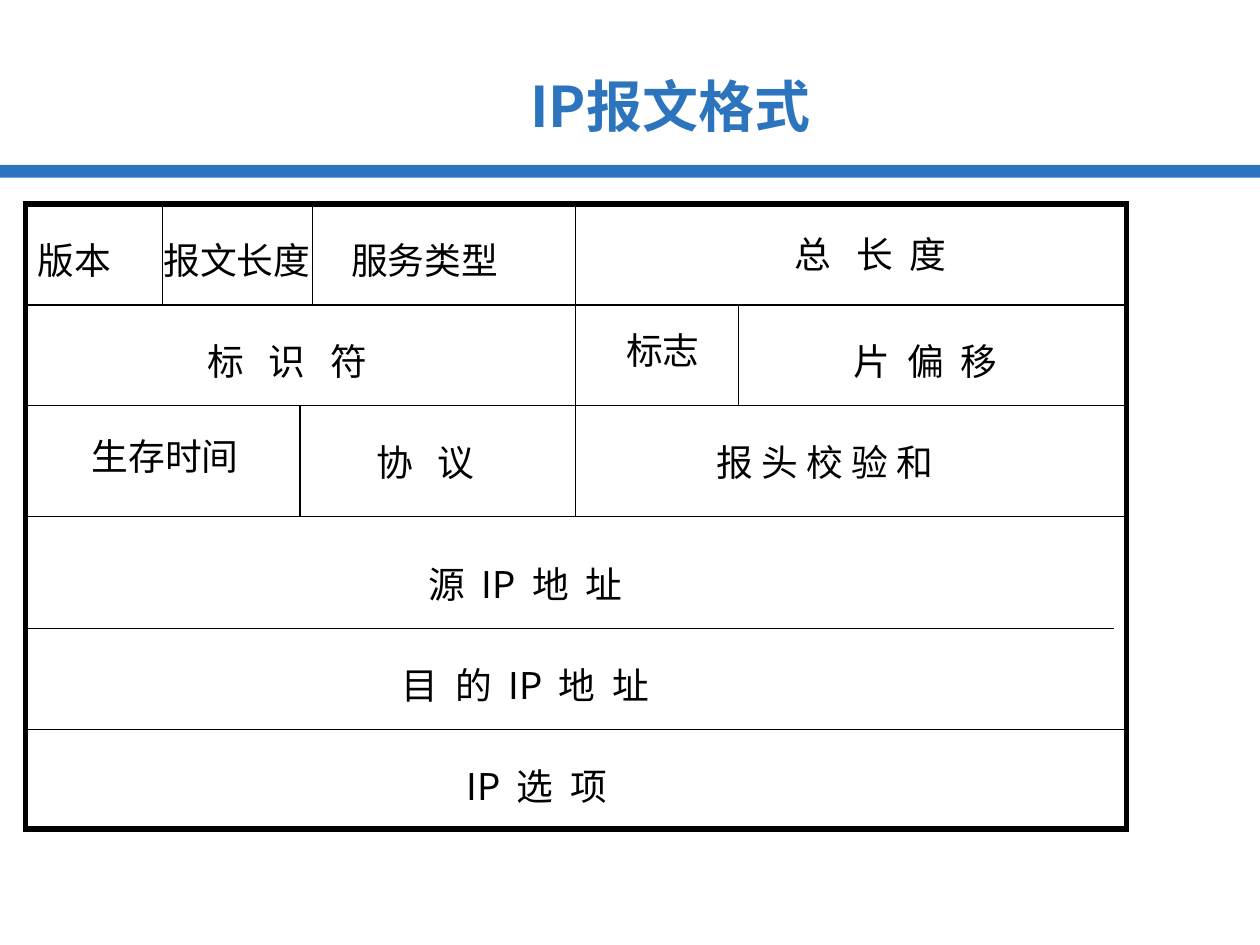
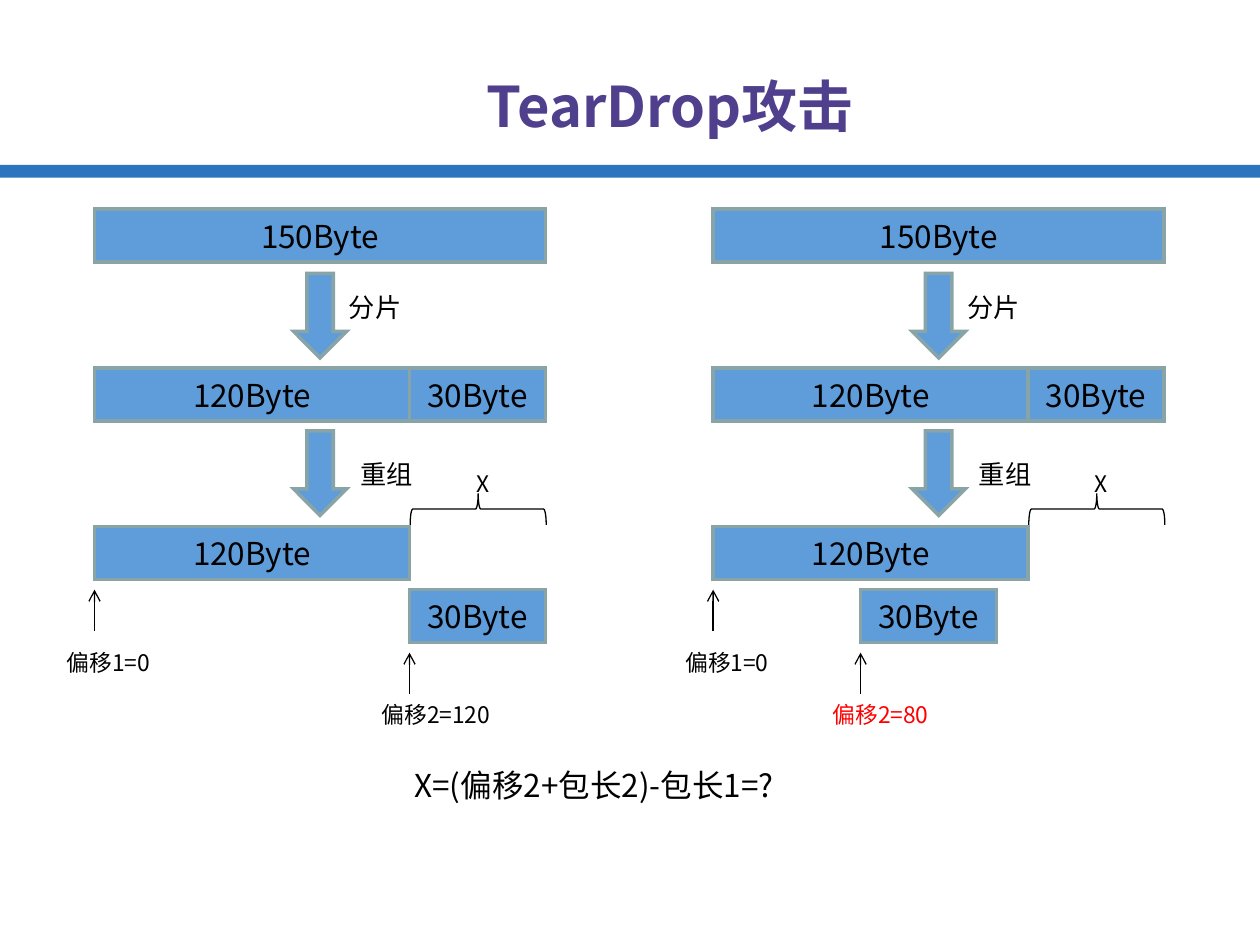
from lxml import etree
from pptx import Presentation
from pptx.dml.color import RGBColor
from pptx.enum.shapes import MSO_CONNECTOR, MSO_SHAPE
from pptx.enum.text import MSO_ANCHOR, PP_ALIGN
from pptx.oxml.ns import qn
from pptx.util import Inches, Pt

RECT, DOWN_ARROW, BRACE = MSO_SHAPE.RECTANGLE, MSO_SHAPE.DOWN_ARROW, MSO_SHAPE.RIGHT_BRACE
STRAIGHT = MSO_CONNECTOR.STRAIGHT
LEFT, CENTER = PP_ALIGN.LEFT, PP_ALIGN.CENTER
TOP, MIDDLE = MSO_ANCHOR.TOP, MSO_ANCHOR.MIDDLE
FRAME_TOP, FRAME_LEFT, FRAME_RIGHT = 0, 1, 3

FONT = "Noto Sans CJK SC"
COLORS = {"band": "2C75BE", "violet": "503F8D", "block": "5E9CDA",
          "edge": "89A4A7", "ink": "000000", "alert": "FF0000"}

# Header diagram
HEADER_TITLE = "IP报文格式"
HEADER = (0.2, 1.62, 8.74, 4.96)
MIDLINE_X, MIDLINE_Y = 4.57, 4.1
ROW_LINES = [(2.42, 8.94), (3.22, 8.94), (5.79, 8.94), (4.99, 8.84)]  # y, right end
COLUMN_LINES = [(1.29, 1.62, 2.42), (2.48, 1.62, 2.42),
                (5.86, 2.42, 3.22), (2.38, 3.22, 4.1)]  # x, top, bottom
FIELD_HEIGHT = 0.47
WIDE, WIDER = 4.7, 9.4  # points added to a space
FIELDS = [  # text, left, top, width, points added to each space in turn
    ("版本", 0.18, 1.83, 0.82, ()),
    ("报文长度", 1.18, 1.83, 1.4, ()),
    ("服务类型", 2.67, 1.83, 1.4, ()),
    ("总 长 度", 6.19, 1.78, 1.44, (WIDER, WIDE)),
    ("标 识 符", 1.53, 2.63, 1.5, (WIDER, WIDER)),
    ("标志", 4.85, 2.54, 0.82, ()),
    ("片 偏 移", 6.66, 2.63, 1.37, (WIDE, WIDE)),
    ("生存时间", 0.61, 3.38, 1.4, ()),
    ("协 议", 2.87, 3.43, 1.01, (WIDER,)),
    ("报 头 校 验 和", 5.57, 3.43, 1.95, (0, 0, 0, 0)),
    ("源 IP 地 址", 3.2, 4.4, 1.94, (WIDE, WIDE, WIDE)),
    ("目 的 IP 地 址", 2.99, 5.2, 2.36, (WIDE, WIDE, WIDE, WIDE)),
    ("IP 选 项", 3.54, 6, 1.44, (WIDE, WIDE)),
]

# Fragmentation diagram
ATTACK_TITLE = "TearDrop攻击"
FORMULA = "X=(偏移2+包长2)-包长1=?"
PACKET, FIRST, SECOND = ("150Byte", 3.58), ("120Byte", 2.5), ("30Byte", 1.08)
BLOCK_HEIGHT = 0.42
PACKET_Y, SPLIT_Y, FIRST_Y, SECOND_Y = 1.66, 2.92, 4.18, 4.68
STEPS = [("分片", 2.17, 1.91, 2.26), ("重组", 3.42, 2, 3.59)]  # text, arrow top, label x, label y
CASES = [  # left, shift of the second fragment, its label, label width, colour
    (0.75, 2.5, "偏移2=120", 1.13, "ink"),
    (5.66, 1.17, "偏移2=80", 1.03, "alert"),
]


def rgb(name):
    return RGBColor.from_string(COLORS[name])


def add_spaced_runs(paragraph, text, gaps):
    """Write the words of text with a widened space after each but the last."""
    for index, word in enumerate(text.split(" ")):
        if index:
            space = paragraph.add_run()
            space.text = " "
            space._r.get_or_add_rPr().set("spc", str(round(gaps[index - 1] * 100)))
        paragraph.add_run().text = word


def write(shape, text, size, color="ink", align=CENTER, anchor=MIDDLE,
          insets=(0.11, 0.05), bold=False, gaps=(), wrap=False):
    frame = shape.text_frame
    frame.word_wrap = wrap
    frame.vertical_anchor = anchor
    frame.margin_left = frame.margin_right = Inches(insets[0])
    frame.margin_top = frame.margin_bottom = Inches(insets[1])
    paragraph = frame.paragraphs[0]
    if gaps:
        add_spaced_runs(paragraph, text, gaps)
    else:
        paragraph.text = text
    paragraph.alignment = align
    font = paragraph.font
    font.name, font.size, font.bold = FONT, Pt(size), bold
    font.color.rgb = rgb(color)
    properties = paragraph._p.pPr.find(qn("a:defRPr"))
    etree.SubElement(properties, qn("a:ea")).set("typeface", FONT)


def add_label(slide, text, box, size, **style):
    write(slide.shapes.add_textbox(*map(Inches, box)), text, size, **style)


def add_figure(slide, kind, box, fill=None, line=None, width=0.75):
    shape = slide.shapes.add_shape(kind, *map(Inches, box))
    shape.shadow.inherit = False
    if fill:
        shape.fill.solid()
        shape.fill.fore_color.rgb = rgb(fill)
    else:
        shape.fill.background()
    if line:
        shape.line.color.rgb = rgb(line)
        shape.line.width = Pt(width)
        etree.SubElement(shape.line._get_or_add_ln(), qn("a:miter")).set("lim", "800000")
    else:
        shape.line.fill.background()
    return shape


def add_line(slide, x1, y1, x2, y2, arrow=False):
    line = slide.shapes.add_connector(STRAIGHT, *map(Inches, (x1, y1, x2, y2)))
    line.line.color.rgb = rgb("ink")
    line.line.width = Pt(0.75)
    if arrow:
        etree.SubElement(line.line._get_or_add_ln(), qn("a:tailEnd")).set("type", "arrow")
    etree.SubElement(line._element.spPr, qn("a:effectLst"))
    return line


def add_titled_slide(deck, title, color):
    slide = deck.slides.add_slide(deck.slide_layouts[6])
    add_figure(slide, RECT, (0, 1.31, 10, 0.1), fill="band")
    add_label(slide, title, (1.8, 0.47, 7.04, 0.73), 32, color=color, bold=True, wrap=True)
    return slide


def build_header(deck):
    slide = add_titled_slide(deck, HEADER_TITLE, "band")
    left, top, width, _ = HEADER
    header = add_figure(slide, RECT, HEADER, line="ink", width=3)
    for y, right in ROW_LINES:
        add_line(slide, left, y, right, y)
    for x, start, end in COLUMN_LINES:
        add_line(slide, x, start, x, end)
    across = add_line(slide, left, MIDLINE_Y, left + width, MIDLINE_Y)
    across.begin_connect(header, FRAME_LEFT)
    across.end_connect(header, FRAME_RIGHT)
    down = add_line(slide, MIDLINE_X, top, MIDLINE_X, MIDLINE_Y)
    down.begin_connect(header, FRAME_TOP)
    for text, x, y, field_width, gaps in FIELDS:
        add_label(slide, text, (x, y, field_width, FIELD_HEIGHT), 21,
                  insets=(0.02, 0.06), gaps=gaps)


def add_block(slide, part, x, y):
    text, width = part
    block = add_figure(slide, RECT, (x, y, width, BLOCK_HEIGHT), "block", "edge", 2)
    write(block, text, 18)


def add_offset(slide, text, x, block_y, width, color="ink"):
    """Arrow and offset label under the left edge of a fragment."""
    add_line(slide, x, block_y + 0.83, x, block_y + 0.5, arrow=True)
    label_y = block_y + (0.92 if block_y == FIRST_Y else 0.83)
    add_label(slide, text, (x - 0.33, label_y, width, 0.32), 13,
              color=color, align=LEFT, anchor=TOP)


def add_case(slide, left, shift, offset_text, offset_width, color):
    split = left + FIRST[1]
    add_block(slide, PACKET, left, PACKET_Y)
    add_block(slide, FIRST, left, SPLIT_Y)
    add_block(slide, SECOND, split, SPLIT_Y)
    add_block(slide, FIRST, left, FIRST_Y)
    add_block(slide, SECOND, left + shift, SECOND_Y)
    for text, arrow_y, label_x, label_y in STEPS:
        add_figure(slide, DOWN_ARROW, (left + 1.58, arrow_y, 0.42, 0.67), "block", "edge", 2)
        add_label(slide, text, (left + label_x, label_y, 0.75, 0.36), 15,
                  align=LEFT, anchor=TOP, wrap=True)
    add_offset(slide, "偏移1=0", left, FIRST_Y, 0.93)
    add_offset(slide, offset_text, left + shift, SECOND_Y, offset_width, color)
    brace = add_figure(slide, BRACE, (left + 2.92, 3.5, 0.25, SECOND[1]), line="ink")
    brace.rotation = 270
    add_label(slide, "X", (left + 2.92, 3.68, 0.32, 0.32), 13, align=LEFT, anchor=TOP)


def build_attack(deck):
    slide = add_titled_slide(deck, ATTACK_TITLE, "violet")
    for case in CASES:
        add_case(slide, *case)
    add_label(slide, FORMULA, (3.18, 6.03, 3.2, 0.41), 18,
              align=LEFT, anchor=TOP, wrap=True)


def main():
    deck = Presentation()
    deck.slide_width, deck.slide_height = Inches(10), Inches(7.5)
    build_header(deck)
    build_attack(deck)
    deck.save("out.pptx")


if __name__ == "__main__":
    main()
